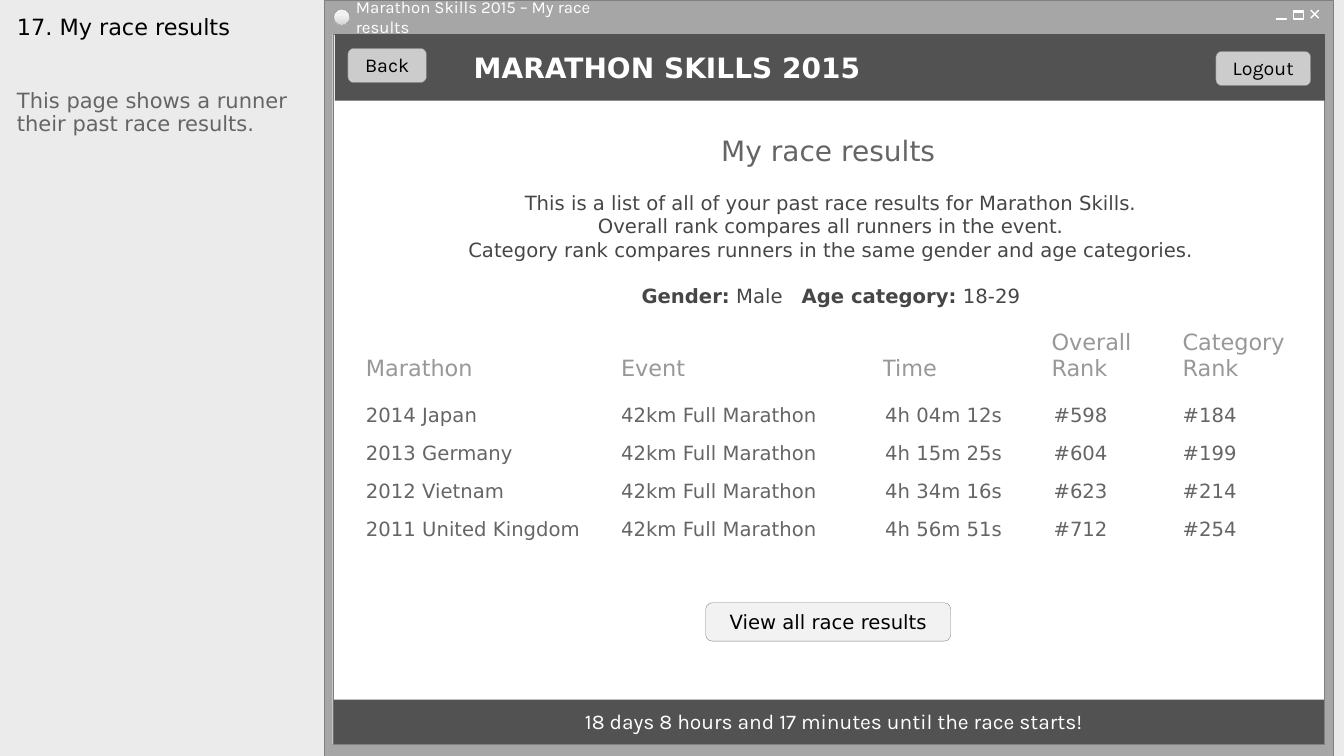
import copy

import pptx
import pptx.dml.color
import pptx.enum.shapes
import pptx.enum.text
import pptx.oxml
import pptx.oxml.ns
import pptx.util

Inches = pptx.util.Inches
Pt = pptx.util.Pt
SHAPE = pptx.enum.shapes.MSO_SHAPE
ALIGN = pptx.enum.text.PP_ALIGN
ANCHOR = pptx.enum.text.MSO_ANCHOR

BODY_FONT, WINDOW_FONT = "DejaVu Sans", "Karla"
WHITE, BLACK, DARK, GREY, EDGE = "FFFFFF", "000000", "525252", "656565", "808080"
TEXT_INSETS = (0.1, 0.02, 0.1, 0.03)

COLUMN_WIDTHS = (2.53, 2.59, 1.68, 1.3, 1.24)
HEADER_HEIGHT, ROW_HEIGHT = 0.8, 0.38
HEADERS = ("Marathon", "Event", "Time", "Overall\nRank", "Category\nRank")
BODY_INDENTS = (0, 0, 0.03, 0.02, 0)
RESULTS = (
    ("2014 Japan", "42km Full Marathon", "4h 04m 12s", "#598", "#184"),
    ("2013 Germany", "42km Full Marathon", "4h 15m 25s", "#604", "#199"),
    ("2012 Vietnam", "42km Full Marathon", "4h 34m 16s", "#623", "#214"),
    ("2011 United Kingdom", "42km Full Marathon", "4h 56m 51s", "#712", "#254"),
)


def color(hex_string):
    return pptx.dml.color.RGBColor.from_string(hex_string)


def set_insets(holder, insets):
    """Set the margins of a text frame or a table cell."""
    (holder.margin_left, holder.margin_top,
     holder.margin_right, holder.margin_bottom) = map(Inches, insets)


def write(frame, text, size=14, font=BODY_FONT, fill=GREY, bold=False,
          align=ALIGN.LEFT, line_spacing=None):
    """Fill a text frame, one paragraph per line of text."""
    frame.word_wrap = True
    frame.text = text
    for paragraph in frame.paragraphs:
        paragraph.alignment = align
        paragraph.line_spacing = line_spacing
        paragraph.font.size = Pt(size)
        paragraph.font.name = font
        paragraph.font.bold = bold
        paragraph.font.color.rgb = color(fill)


def add_text(shapes, box, text, insets=TEXT_INSETS, anchor=ANCHOR.MIDDLE, **text_format):
    frame = shapes.add_textbox(*map(Inches, box)).text_frame
    set_insets(frame, insets)
    frame.vertical_anchor = anchor
    write(frame, text, **text_format)
    return frame


def add_box(shapes, box, fill=None, line=None, width=0.25, kind=SHAPE.RECTANGLE):
    shape = shapes.add_shape(kind, *map(Inches, box))
    shape.shadow.inherit = False
    if fill:
        shape.fill.solid()
        shape.fill.fore_color.rgb = color(fill)
    else:
        shape.fill.background()
    if line:
        shape.line.color.rgb = color(line)
        shape.line.width = Pt(width)
    else:
        shape.line.fill.background()
    return shape


def add_button(shapes, box, label, fill="CCCCCC", font=WINDOW_FONT):
    shape = add_box(shapes, box, fill, EDGE, kind=SHAPE.ROUNDED_RECTANGLE)
    shape.text_frame.vertical_anchor = ANCHOR.MIDDLE
    set_insets(shape.text_frame, (0.1, 0, 0.1, 0.01))
    write(shape.text_frame, label, font=font, fill=BLACK, align=ALIGN.CENTER)


def add_line(shapes, start, end):
    connector = shapes.add_connector(
        pptx.enum.shapes.MSO_CONNECTOR.STRAIGHT, *map(Inches, start + end))
    connector.line.color.rgb = color(WHITE)
    connector.line.width = Pt(1)
    connector._element.spPr.append(pptx.oxml.parse_xml(
        "<a:effectLst %s/>" % pptx.oxml.ns.nsdecls("a")))


def shade_icon(icon):
    icon.fill.gradient()
    icon.fill.gradient_angle = 270
    stop_list = icon._element.spPr.find(".//" + pptx.oxml.ns.qn("a:gsLst"))
    stop_list.append(copy.deepcopy(stop_list[-1]))
    stops = ((0.36, "F2F2F2"), (0.91, "D9D9D9"), (1, "F2F2F2"))
    for stop, (position, tone) in zip(icon.fill.gradient_stops, stops):
        stop.position = position
        stop.color.rgb = color(tone)


def add_side_panel(slide, left, top, width):
    insets = (0.1, 0.05, 0.1, 0.05)
    add_text(slide.shapes, (left, top, width, 0.73), "17. My race results", insets,
             ANCHOR.TOP, size=16, fill=BLACK, line_spacing=0.9)
    add_text(slide.shapes, (left, top + 0.74, width, 6.47),
             "This page shows a runner their past race results.", insets,
             ANCHOR.TOP, size=15, line_spacing=0.9)


def add_window(slide, left, top, width, height):
    shapes = slide.shapes.add_group_shape().shapes
    add_box(shapes, (left, top, width, height), "A6A6A6", EDGE)
    add_box(shapes, (left + 0.08, top + 0.34, 9.83, height - 0.46), WHITE, EDGE)
    add_text(shapes, (left + 0.26, top + 0.05, 2.99, 0.25),
             "Marathon Skills 2015 – My race results", (0.05, 0.02, 0.1, 0.03),
             size=12, font=WINDOW_FONT, fill=WHITE)

    right, upper, lower = left + width, top + 0.1, top + 0.18
    add_line(shapes, (right - 0.22, upper), (right - 0.14, lower))
    add_line(shapes, (right - 0.14, upper), (right - 0.22, lower))
    add_box(shapes, (right - 0.39, top + 0.11, 0.1, 0.01), "919191", WHITE)
    add_box(shapes, (right - 0.39, top + 0.11, 0.1, 0.08), line=WHITE, width=1)
    add_box(shapes, (right - 0.56, lower, 0.1, 0.01), "919191", WHITE)
    shade_icon(add_box(shapes, (left + 0.09, top + 0.09, 0.16, 0.16),
                       WHITE, EDGE, kind=SHAPE.OVAL))


def add_header(slide, left, top, width, height):
    shapes = slide.shapes
    add_box(shapes, (left, top, width, height), DARK)
    add_button(shapes, (left + 0.13, top + 0.14, 0.78, 0.34), "Back")
    add_text(shapes, (left + 1.28, top + 0.14, 4.26, 0.39), "MARATHON SKILLS 2015",
             size=20, fill=WHITE, bold=True)
    add_button(shapes, (left + width - 1.08, top + 0.17, 0.94, 0.34), "Logout")


def add_footer(slide, left, top, width, height):
    add_box(slide.shapes, (left, top, width, height), DARK)
    add_text(slide.shapes, (left + 1.02, top + 0.07, 7.88, 0.3),
             "18 days 8 hours and 17 minutes until the race starts!",
             size=15, font=WINDOW_FONT, fill=WHITE, align=ALIGN.CENTER)


def add_introduction(slide, left, top, width):
    add_text(slide.shapes, (left + 0.57, top, 7.33, 0.39), "My race results",
             size=20, align=ALIGN.CENTER)
    frame = add_text(
        slide.shapes, (left, top + 0.57, width, 1.23),
        "This is a list of all of your past race results for Marathon Skills.\n"
        "Overall rank compares all runners in the event.\n"
        "Category rank compares runners in the same gender and age categories.\n",
        anchor=ANCHOR.TOP, fill="464646", align=ALIGN.CENTER)
    category = frame.paragraphs[-1]
    category.space_before = Pt(16.3)
    # Each entry: text, bold, extra letter spacing in hundredths of a point
    for text, bold, spacing in (("Gender:", True, 0), (" Male", False, 0),
                                (" ", False, 900), ("Age category:", True, 0),
                                (" 18-29", False, 0)):
        run = category.add_run()
        run.text = text
        run.font.size = Pt(14)
        run.font.name = BODY_FONT
        run.font.color.rgb = color("464646")
        run.font.bold = bold
        if spacing:
            run._r.get_or_add_rPr().set("spc", str(spacing))


def add_results_table(slide, left, top):
    heights = (HEADER_HEIGHT,) + (ROW_HEIGHT,) * len(RESULTS)
    table = slide.shapes.add_table(
        len(heights), len(COLUMN_WIDTHS), Inches(left), Inches(top),
        Inches(sum(COLUMN_WIDTHS)), Inches(sum(heights))).table
    table.first_row = table.horz_banding = False
    for column, width in zip(table.columns, COLUMN_WIDTHS):
        column.width = Inches(width)
    for row, height, texts in zip(table.rows, heights, (HEADERS,) + RESULTS):
        row.height = Inches(height)
        is_header = texts is HEADERS
        for cell, text, indent in zip(row.cells, texts, BODY_INDENTS):
            cell.fill.background()
            cell.vertical_anchor = ANCHOR.MIDDLE
            if is_header:
                set_insets(cell, (0, 0 if "\n" in text else 0.25, 0, 0))
                write(cell.text_frame, text, size=16, fill="989898")
            else:
                set_insets(cell, (indent, 0, 0, 0))
                write(cell.text_frame, text)


def main():
    presentation = pptx.Presentation()
    presentation.slide_width = Inches(13.33)
    presentation.slide_height = Inches(7.5)
    slide = presentation.slides.add_slide(presentation.slide_layouts[6])
    slide.background.fill.solid()
    slide.background.fill.fore_color.rgb = color("EBEBEB")

    add_window(slide, 3.22, 0, 10, 7.5)
    add_header(slide, 3.32, 0.34, 9.82, 0.66)
    add_footer(slide, 3.31, 6.94, 9.82, 0.44)
    add_side_panel(slide, 0.07, 0.11, 3.01)
    add_introduction(slide, 3.98, 1.3, 8.52)
    add_results_table(slide, 3.63, 3.13)
    add_button(slide.shapes, (7, 5.98, 2.43, 0.38), "View all race results",
               fill="F2F2F2", font=BODY_FONT)
    presentation.save("out.pptx")


if __name__ == "__main__":
    main()
